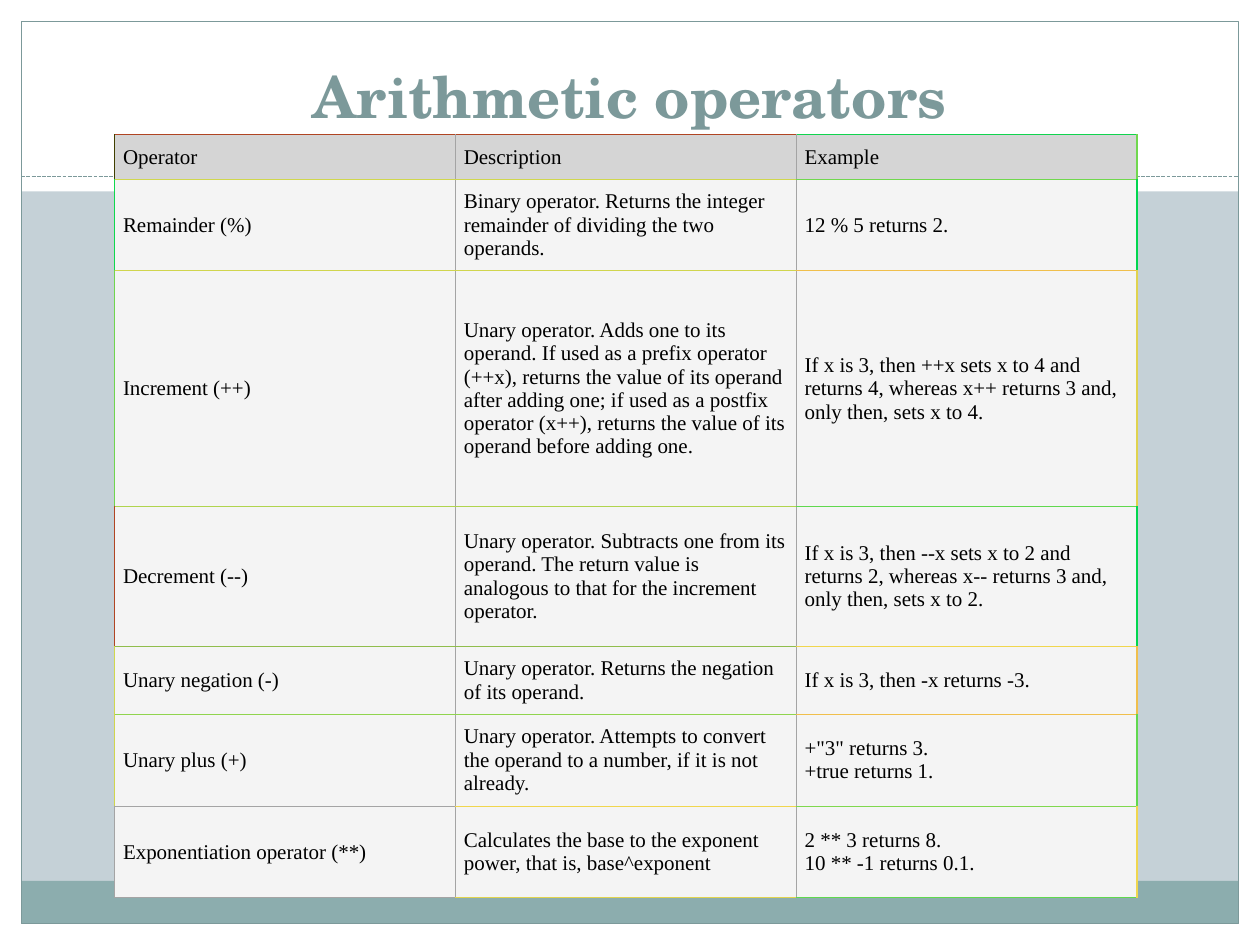
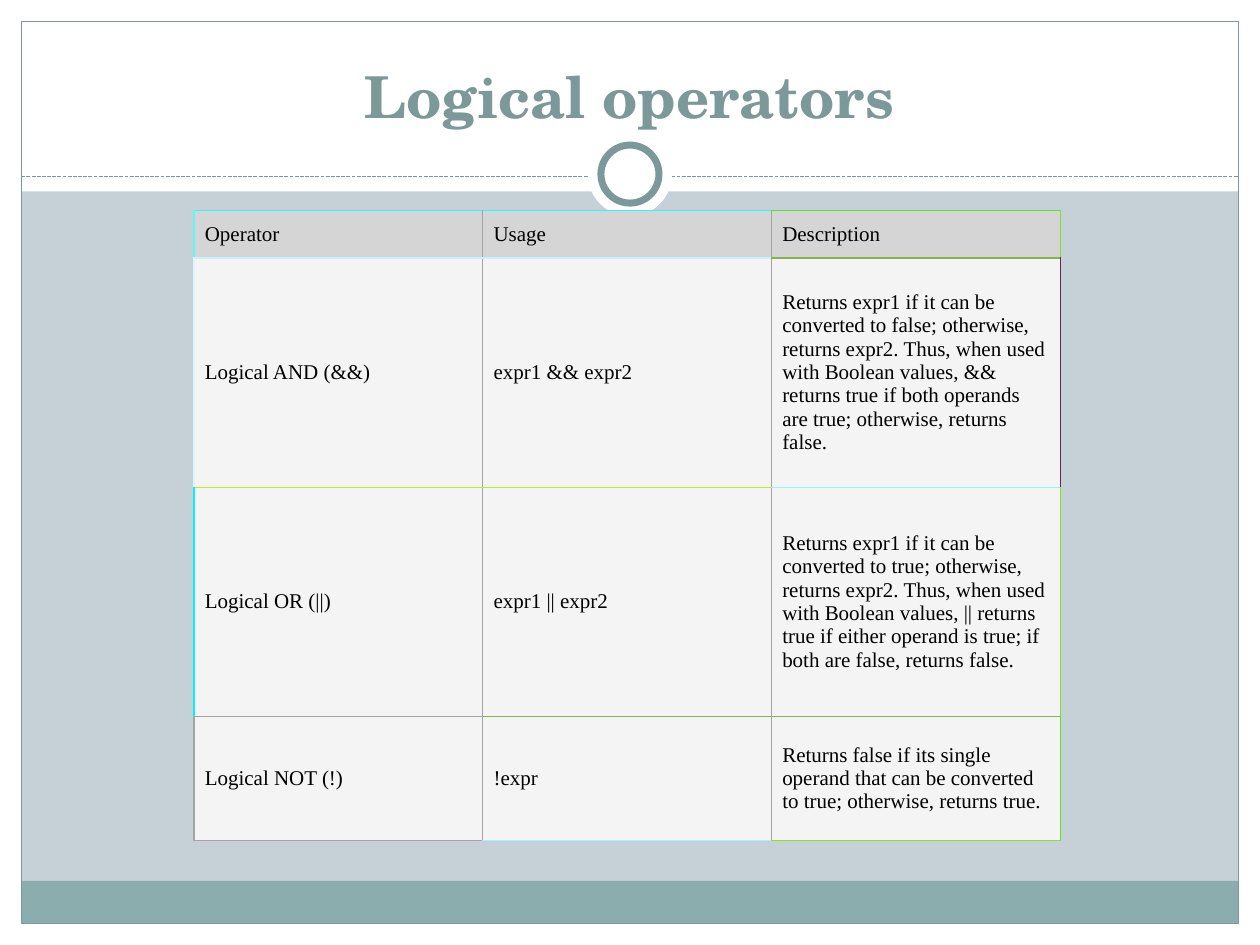
"""Build two slides of JavaScript operator tables."""
from lxml import etree
from pptx import Presentation
from pptx.dml.color import RGBColor
from pptx.enum.dml import MSO_LINE
from pptx.enum.shapes import MSO_CONNECTOR, MSO_SHAPE
from pptx.enum.text import MSO_ANCHOR, MSO_AUTO_SIZE, PP_ALIGN
from pptx.oxml.ns import qn
from pptx.util import Cm, Pt

RECT, OVAL = MSO_SHAPE.RECTANGLE, MSO_SHAPE.OVAL
STRAIGHT, DASH = MSO_CONNECTOR.STRAIGHT, MSO_LINE.SQUARE_DOT
MIDDLE, BOTTOM = MSO_ANCHOR.MIDDLE, MSO_ANCHOR.BOTTOM
LEFT, CENTER = PP_ALIGN.LEFT, PP_ALIGN.CENTER
NO_FIT = MSO_AUTO_SIZE.NONE

WHITE = RGBColor(0xFF, 0xFF, 0xFF)
BLACK = RGBColor(0x00, 0x00, 0x00)
BACKDROP = RGBColor(0xC5, 0xD1, 0xD7)
TEAL = RGBColor(0x7C, 0x99, 0x9A)
FOOTER = RGBColor(0x8C, 0xAD, 0xAE)
HEADER = RGBColor(0xD5, 0xD5, 0xD5)
BODY = RGBColor(0xF4, 0xF4, 0xF4)
GRAY = "A4A4A4"

TITLE_FONT, TABLE_FONT = "TeX Gyre Schola", "Times New Roman"
WIDTH, HEIGHT, MARGIN = 25.4, 19.05, 0.43
RULE_WIDTH = Pt(0.75)

ARITHMETIC = dict(
    left=2.31, top=2.72, col_width=6.87, inset=0.17,
    heights=[0.89, 1.85, 4.75, 2.82, 1.37, 1.85, 1.85],
    rows=[
        ("Operator", "Description", "Example"),
        ("Remainder (%)",
         "Binary operator. Returns the integer remainder of dividing the two operands.",
         "12 % 5 returns 2."),
        ("Increment (++)",
         "Unary operator. Adds one to its operand. If used as a prefix operator (++x), "
         "returns the value of its operand after adding one; if used as a postfix "
         "operator (x++), returns the value of its operand before adding one.",
         "If x is 3, then ++x sets x to 4 and returns 4, whereas x++ returns 3 and, "
         "only then, sets x to 4."),
        ("Decrement (--)",
         "Unary operator. Subtracts one from its operand. The return value is "
         "analogous to that for the increment operator.",
         "If x is 3, then --x sets x to 2 and returns 2, whereas x-- returns 3 and, "
         "only then, sets x to 2."),
        ("Unary negation (-)",
         "Unary operator. Returns the negation of its operand.",
         "If x is 3, then -x returns -3."),
        ("Unary plus (+)",
         "Unary operator. Attempts to convert the operand to a number, if it is not already.",
         '+"3" returns 3.\n+true returns 1.'),
        ("Exponentiation operator (**)",
         "Calculates the base to the exponent power, that is, base^exponent",
         "2 ** 3 returns 8.\v10 ** -1 returns 0.1."),
    ],
    rules=[
        ("B04523", "B04523", "10D44E"), ("D0D74E", "D0D74E", "70D84E"),
        ("D0D54E", "D0D54E", "F0BF4C"), ("B0D44E", "B0D44E", "60D84E"),
        ("90BD4C", "90BD4C", "F0D64E"), ("90D44E", "90D44E", "F0BF4C"),
        (GRAY, "F0D64E", "80D84E"), (GRAY, "E0D34E", "60D84E"),
    ],
    left_edge=["403F00", "10D84E", "70D54E", "B04523", "D0D74E", "D0D54E", GRAY],
    right_edge=["70D84E", "00D64E", "E0D34E", "00D64E", "F0BF4C", "60D84E", "F0D64E"],
)

LOGICAL = dict(
    left=3.91, top=4.24, col_width=5.82, inset=0.22,
    heights=[0.96, 4.62, 4.62, 2.51],
    rows=[
        ("Operator", "Usage", "Description"),
        ("Logical AND (&&)", "expr1 && expr2",
         "Returns expr1 if it can be converted to false; otherwise, returns expr2. "
         "Thus, when used with Boolean values, && returns true if both operands are "
         "true; otherwise, returns false."),
        ("Logical OR (||)", "expr1 || expr2",
         "Returns expr1 if it can be converted to true; otherwise, returns expr2. "
         "Thus, when used with Boolean values, || returns true if either operand is "
         "true; if both are false, returns false."),
        ("Logical NOT (!)", "!expr",
         "Returns false if its single operand that can be converted to true; "
         "otherwise, returns true."),
    ],
    rules=[
        ("30F5FF", "30F5FF", "50E727"), ("C0F4FF", "C0F4FF", "80B54C"),
        ("C0EB27", "C0EB27", "90F5FF"), (GRAY, "80B64C", "80B64C"),
        (GRAY, "A0F4FF", "90E027"),
    ],
    left_edge=["60F5FF", "E0F4FF", "00F4FF", GRAY],
    right_edge=["80E127", "602C4C", "80E127", "60E227"],
)


def write(tf, text, font=TABLE_FONT, size=12, color=BLACK, bold=False, align=LEFT):
    tf.text = text
    tf.word_wrap = True
    for p in tf.paragraphs:
        p.alignment = align
        for r in p.runs:
            r.font.name, r.font.size, r.font.bold = font, Pt(size), bold
            r.font.color.rgb = color


def set_borders(cell, **colors):
    tc_pr = cell._tc.get_or_add_tcPr()
    for side in "LRTB":
        ln = etree.SubElement(tc_pr, qn(f"a:ln{side}"), w=str(int(RULE_WIDTH)))
        fill = etree.SubElement(ln, qn("a:solidFill"))
        etree.SubElement(fill, qn("a:srgbClr"), val=colors[side])


class Deck:
    def __init__(self):
        self.prs = Presentation()
        self.prs.slide_width, self.prs.slide_height = Cm(WIDTH), Cm(HEIGHT)
        self.s = None

    def shape(self, kind, x, y, w, h, fill=None, line=None, weight=RULE_WIDTH):
        sp = self.s.shapes.add_shape(kind, Cm(x), Cm(y), Cm(w), Cm(h))
        sp.shadow.inherit = False
        if fill is None:
            sp.fill.background()
        else:
            sp.fill.solid()
            sp.fill.fore_color.rgb = fill
        if line is None:
            sp.line.fill.background()
        else:
            sp.line.color.rgb = line
            sp.line.width = weight

    def circle(self, diameter, **style):
        self.shape(OVAL, WIDTH / 2 - diameter / 2, 3.51 - diameter / 2,
                   diameter, diameter, **style)

    def dashed_line(self, y):
        line = self.s.shapes.add_connector(
            STRAIGHT, Cm(MARGIN), Cm(y), Cm(WIDTH - MARGIN), Cm(y))
        line.line.color.rgb = TEAL
        line.line.width = RULE_WIDTH
        line.line.dash_style = DASH
        etree.SubElement(line.element.spPr, qn("a:effectLst"))

    def frame(self):
        inner = WIDTH - 2 * MARGIN
        self.shape(RECT, 0, HEIGHT - MARGIN, WIDTH, MARGIN, fill=WHITE)
        self.shape(RECT, 0, 0, WIDTH, 3.86, fill=WHITE)
        for x in (0, WIDTH - MARGIN):
            self.shape(RECT, x, 0, MARGIN, HEIGHT, fill=WHITE)
        self.shape(RECT, MARGIN, 17.76, inner, 0.86, fill=FOOTER)
        self.shape(RECT, MARGIN, MARGIN, inner, HEIGHT - 2 * MARGIN, line=TEAL)
        self.dashed_line(3.56)
        self.circle(1.7, fill=WHITE)
        self.circle(1.17, fill=WHITE, line=TEAL, weight=Pt(4))

    def title(self, text):
        sp = self.s.shapes.title
        sp.left, sp.top, sp.width, sp.height = Cm(0.84), Cm(0.64), Cm(23.7), Cm(2.11)
        tf = sp.text_frame
        tf.vertical_anchor, tf.auto_size = BOTTOM, NO_FIT
        write(tf, text, font=TITLE_FONT, size=33, color=TEAL, bold=True, align=CENTER)
        sp.element.getparent().append(sp.element)

    def slide(self, title):
        self.s = self.prs.slides.add_slide(self.prs.slide_layouts[5])
        fill = self.s.background.fill
        fill.solid()
        fill.fore_color.rgb = BACKDROP
        self.frame()
        self.title(title)

    def table(self, left, top, col_width, inset, heights, rows, rules,
              left_edge, right_edge):
        cols = len(rows[0])
        table = self.s.shapes.add_table(
            len(rows), cols, Cm(left), Cm(top),
            Cm(col_width * cols), Cm(sum(heights))).table
        table.first_row = table.horz_banding = False
        for col in table.columns:
            col.width = Cm(col_width)
        for i, texts in enumerate(rows):
            table.rows[i].height = Cm(heights[i])
            edges = [left_edge[i]] + [GRAY] * (cols - 1) + [right_edge[i]]
            for j, text in enumerate(texts):
                cell = table.cell(i, j)
                set_borders(cell, L=edges[j], R=edges[j + 1],
                            T=rules[i][j], B=rules[i + 1][j])
                cell.fill.solid()
                cell.fill.fore_color.rgb = BODY if i else HEADER
                cell.vertical_anchor = MIDDLE
                cell.margin_left = cell.margin_right = Cm(inset)
                cell.margin_top = cell.margin_bottom = Cm(inset)
                write(cell.text_frame, text)


def main():
    deck = Deck()
    for title, content in (("Arithmetic operators", ARITHMETIC),
                           ("Logical operators", LOGICAL)):
        deck.slide(title)
        deck.table(**content)
    deck.prs.save("out.pptx")


if __name__ == "__main__":
    main()
